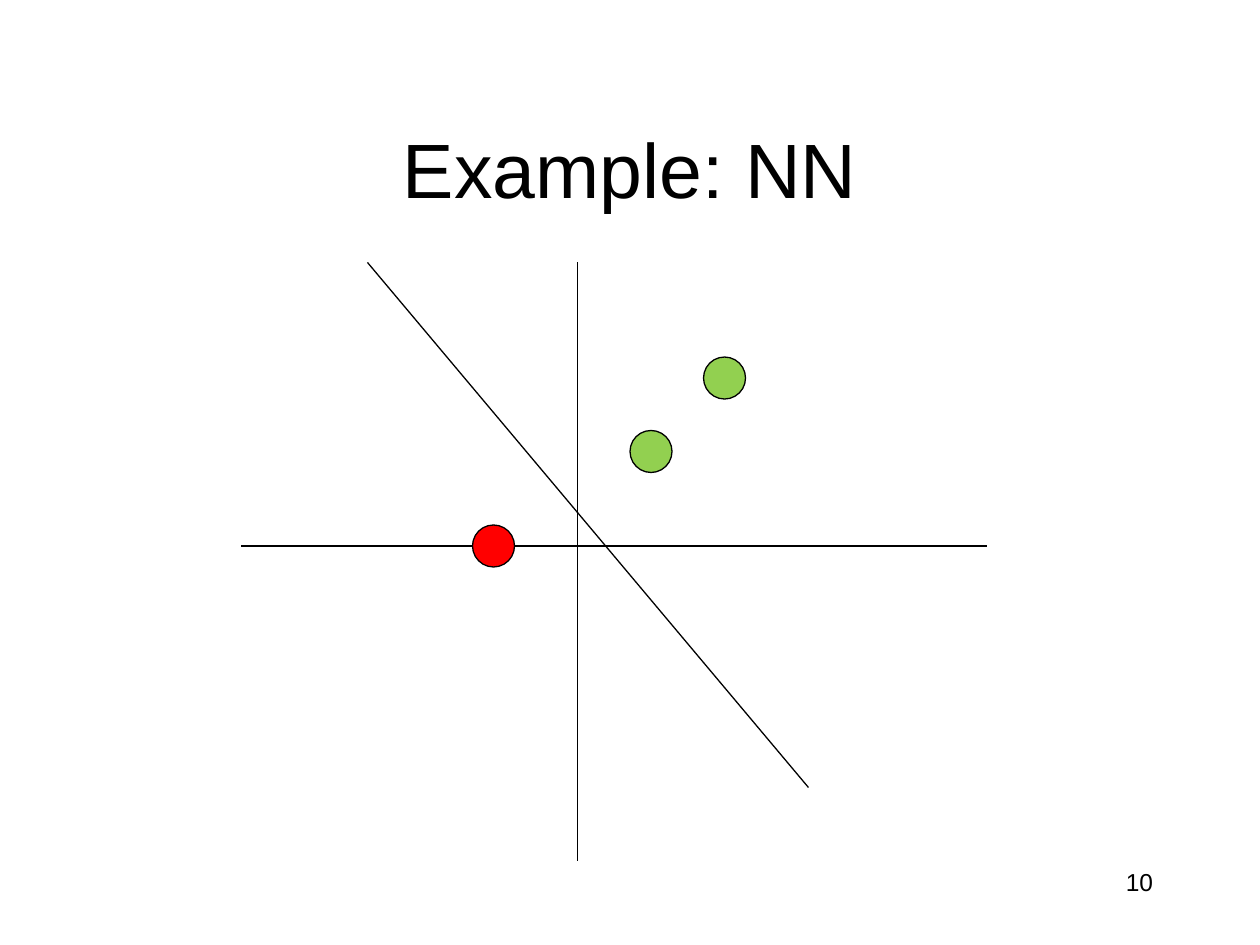
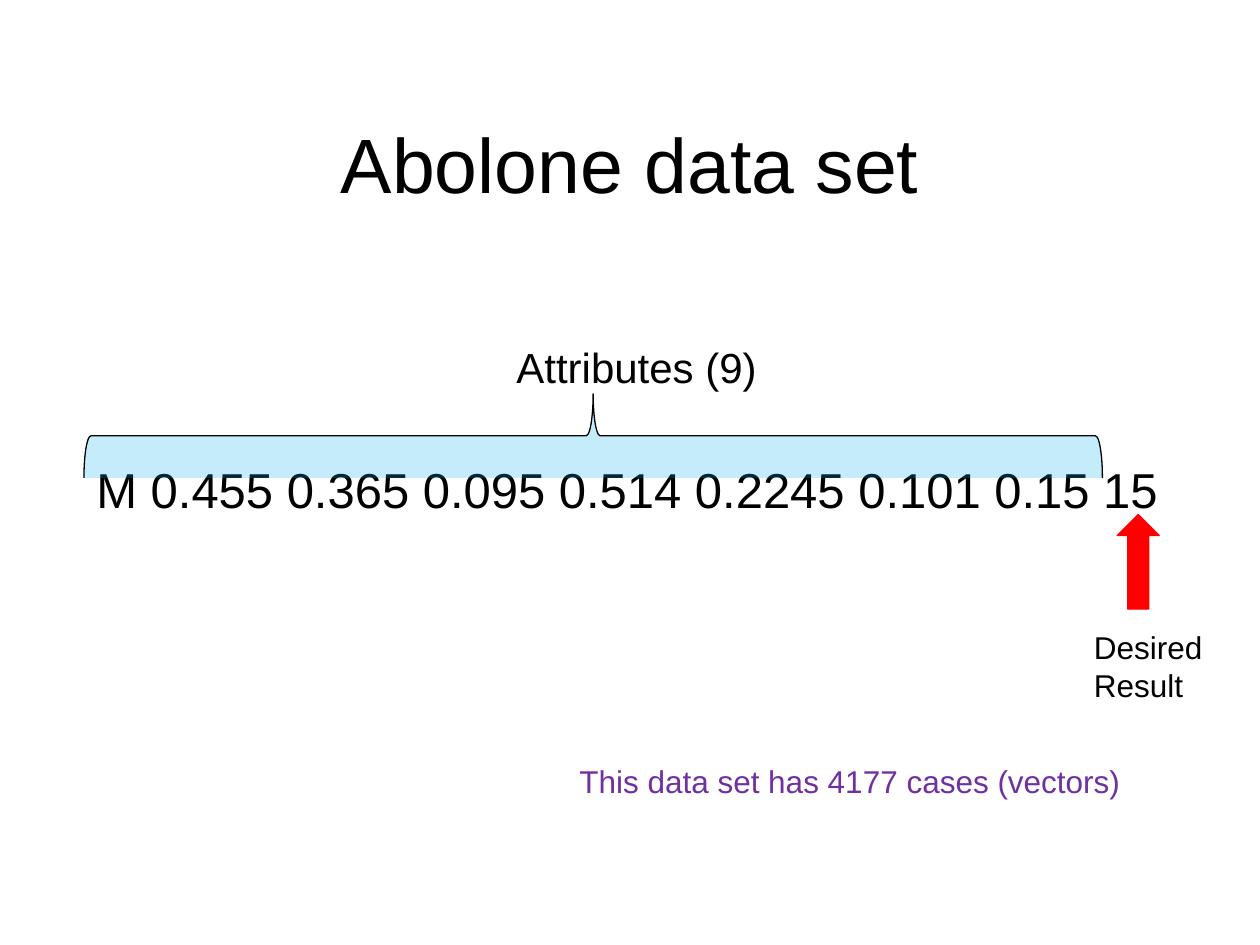
from lxml import etree
from pptx import Presentation
from pptx.dml.color import RGBColor
from pptx.enum.shapes import MSO_CONNECTOR, MSO_SHAPE as Preset
from pptx.enum.text import MSO_ANCHOR as Anchor, MSO_AUTO_SIZE, PP_ALIGN as Align
from pptx.oxml.ns import qn
from pptx.util import Inches, Pt

BLACK = RGBColor(0x00, 0x00, 0x00)
RED = RGBColor(0xFF, 0x00, 0x00)
GREEN = RGBColor(0x92, 0xD0, 0x50)
SKY_BLUE = RGBColor(0x00, 0xB0, 0xF0)
PURPLE = RGBColor(0x70, 0x30, 0xA0)
FONT = "Arial"
TITLE_SIZE = 44
LINE_WIDTH = Pt(0.75)
CELL = Inches(1) / 12  # both slides sit on a grid of 120 columns by 90 rows


def add_text(slide, text, box, size, color=BLACK, align=Align.LEFT,
             anchor=Anchor.TOP, wrap=True):
    """Add a text box; box is column, row, columns wide and rows high."""
    text_box = slide.shapes.add_textbox(*[round(value * CELL) for value in box])
    text_frame = text_box.text_frame
    text_frame.text = text
    text_frame.word_wrap = wrap
    text_frame.vertical_anchor = anchor
    if not wrap:
        text_frame.auto_size = MSO_AUTO_SIZE.SHAPE_TO_FIT_TEXT
    for paragraph in text_frame.paragraphs:
        paragraph.alignment = align
        font = paragraph.runs[0].font
        font.name, font.size, font.color.rgb = FONT, Pt(size), color


def add_shape(slide, preset, box, fill, line=BLACK):
    """Add a filled, outlined shape; box is given in grid cells."""
    shape = slide.shapes.add_shape(preset, *[round(value * CELL) for value in box])
    shape.shadow.inherit = False
    shape.fill.solid()
    shape.fill.fore_color.rgb = fill
    shape.line.color.rgb = line
    shape.line.width = LINE_WIDTH
    return shape


presentation = Presentation()
presentation.slide_width = round(120 * CELL)
presentation.slide_height = round(90 * CELL)
blank_layout = presentation.slide_layouts[6]

# Nearest neighbour example: axes, dividing line and three points
slide = presentation.slides.add_slide(blank_layout)
add_text(slide, "Example: NN", (6, 11, 108, 12.6), TITLE_SIZE, align=Align.CENTER)
add_text(slide, "10", (86, 82, 25, 6), 14, align=Align.RIGHT)

vertical_axis = (55, 25, 55, 82)
horizontal_axis = (23, 52, 94, 52)
dividing_line = (35, 25, 77, 75)
for ends in (vertical_axis, horizontal_axis, dividing_line):
    connector = slide.shapes.add_connector(
        MSO_CONNECTOR.STRAIGHT, *[round(value * CELL) for value in ends])
    connector.line.color.rgb = BLACK
    connector.line.width = LINE_WIDTH
    etree.SubElement(connector._element.spPr, qn("a:effectLst"))

POINT_SIZE = 4
for column, row, color in ((67, 34, GREEN), (60, 41, GREEN), (45, 50, RED)):
    add_shape(slide, Preset.OVAL, (column, row, POINT_SIZE, POINT_SIZE), color)

# Data set: one vector, its attributes and its desired result
slide = presentation.slides.add_slide(blank_layout)
add_text(slide, "Abolone data set", (9, 8, 102, 15), TITLE_SIZE,
         align=Align.CENTER, anchor=Anchor.MIDDLE)
add_text(slide, "M 0.455 0.365 0.095 0.514 0.2245 0.101 0.15 15",
         (8, 43.2, 105, 10), 28)
add_shape(slide, Preset.UP_ARROW, (106.4, 49, 4, 9), RED, line=RED)
add_text(slide, "Desired\nResult", (103, 59.2, 12.8, 8.5), 18, wrap=False)

brace = add_shape(slide, Preset.RIGHT_BRACE, (52.5, -7, 8, 97), SKY_BLUE)
brace.rotation = 270
brace_color = brace.fill._xPr.find(qn("a:solidFill"))[0]
etree.SubElement(brace_color, qn("a:alpha"), val="23000")

add_text(slide, "Attributes (9)", (48, 31.9, 25.6, 6), 24, wrap=False)
add_text(slide, "This data set has 4177 cases (vectors)",
         (54, 72, 54.5, 4.8), 18, PURPLE, wrap=False)

presentation.save("out.pptx")
